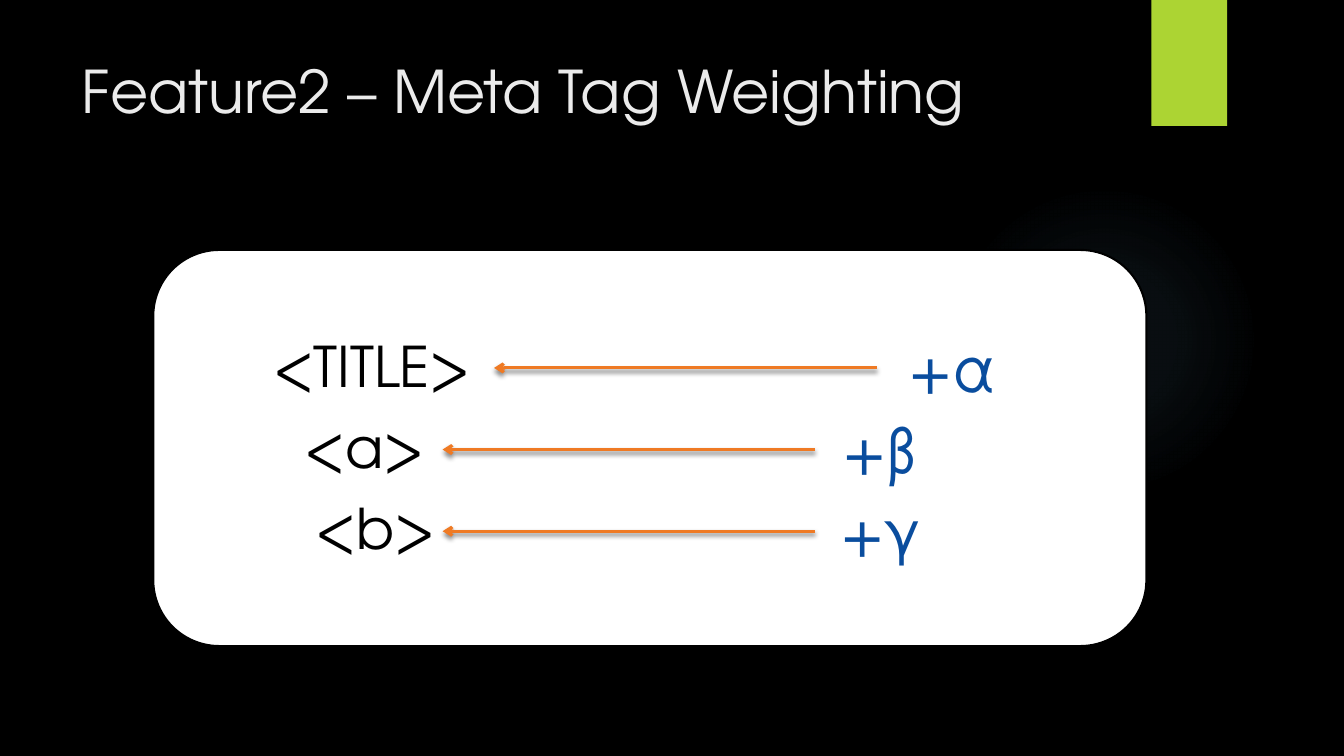
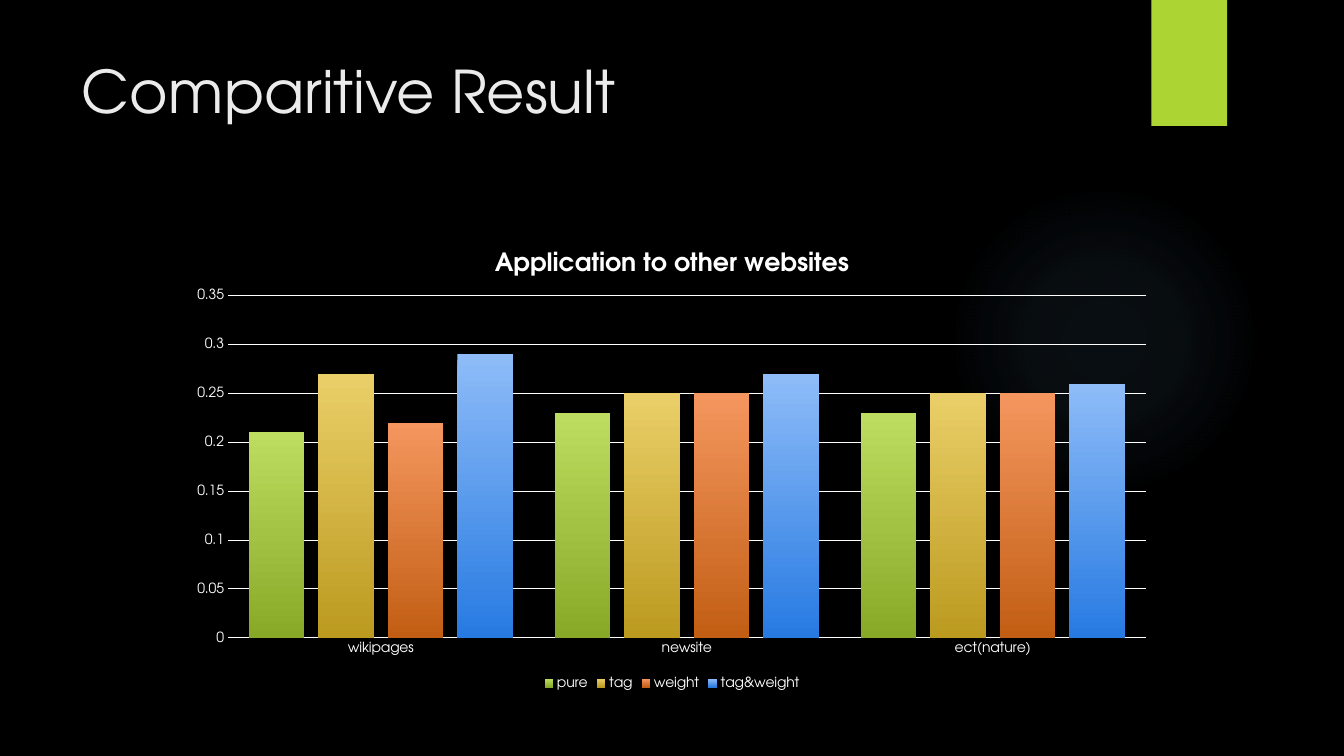
from lxml import etree
from pptx import Presentation
from pptx import util as u
from pptx.chart.data import CategoryChartData
from pptx.dml.color import RGBColor
from pptx.enum import chart as charts, shapes, text
from pptx.oxml import parse_xml
from pptx.oxml.ns import nsdecls, qn

FONT = "TeX Gyre Adventor"
BLACK, WHITE, TITLE = "000000", "FFFFFF", "EBEBEB"
GREEN, ORANGE, BLUE, GLOW = "ACD433", "EF7A24", "0A4D9E", "7AC4F0"


def color(value):
    return RGBColor.from_string(value)


def style(font, size, value, bold=False):
    font.name, font.size, font.bold = FONT, u.Pt(size), bold
    font.color.rgb = color(value)


class Deck:
    def __init__(self):
        self.presentation = Presentation()
        self.presentation.slide_width = u.Inches(13.33)
        self.presentation.slide_height = u.Inches(7.5)
        self.slide = None

    def new_slide(self, title):
        """Start a slide with the shared background, glow, band and title."""
        layout = self.presentation.slide_layouts[5]
        self.slide = self.presentation.slides.add_slide(layout)
        background = self.slide.background.fill
        background.solid()
        background.fore_color.rgb = color(BLACK)
        self.glow(9.41, 1.83, 3.08)
        self.shape(shapes.MSO_SHAPE.RECTANGLE, 11.42, 0, 0.75, 1.25, GREEN)

        placeholder = self.slide.shapes.title
        placeholder.left, placeholder.top = u.Inches(0.71), u.Inches(0.49)
        placeholder.width, placeholder.height = u.Inches(10.29), u.Inches(1.53)
        frame = placeholder.text_frame
        frame.text = title
        frame.auto_size = text.MSO_AUTO_SIZE.NONE
        frame.vertical_anchor = text.MSO_ANCHOR.TOP
        frame.paragraphs[0].alignment = text.PP_ALIGN.LEFT
        style(frame.paragraphs[0].runs[0].font, 42, TITLE)

    def shape(self, kind, left, top, width, height, fill, line=None):
        shape = self.slide.shapes.add_shape(
            kind, u.Inches(left), u.Inches(top), u.Inches(width), u.Inches(height))
        shape.shadow.inherit = False
        shape.fill.solid()
        shape.fill.fore_color.rgb = color(fill)
        if line:
            shape.line.color.rgb = color(line)
            shape.line.width = u.Pt(1.5)
        else:
            shape.line.fill.background()
        return shape

    def glow(self, left, top, size):
        """Circle that fades out from its centre."""
        circle = self.shape(shapes.MSO_SHAPE.OVAL, left, top, size, size, GLOW)
        stops = "".join(
            f'<a:gs pos="{position * 1000}"><a:srgbClr val="{GLOW}">'
            f'<a:alpha val="{alpha * 1000}"/></a:srgbClr></a:gs>'
            for position, alpha in ((0, 7), (36, 6), (69, 0), (100, 0)))
        gradient = parse_xml(
            f'<a:gradFill {nsdecls("a")}><a:gsLst>{stops}</a:gsLst><a:path path="circle">'
            '<a:fillToRect l="50000" t="50000" r="50000" b="50000"/></a:path></a:gradFill>')
        properties = circle._element.spPr
        properties.replace(properties.find(qn("a:solidFill")), gradient)

    def text_box(self, left, top, width, height, lines, size, value, indents=(0,)):
        """Text with one paragraph per line, each with its own left indent."""
        box = self.slide.shapes.add_textbox(
            u.Inches(left), u.Inches(top), u.Inches(width), u.Inches(height))
        frame = box.text_frame
        frame.word_wrap = True
        frame.text = "\n".join(lines)
        for number, (paragraph, indent) in enumerate(zip(frame.paragraphs, indents)):
            paragraph._p.get_or_add_pPr().set("marL", str(u.Inches(indent)))
            if number:
                paragraph.space_before = u.Pt(10)
            style(paragraph.runs[0].font, size, value)

    def arrow(self, start, end, y):
        connector = self.slide.shapes.add_connector(
            shapes.MSO_CONNECTOR.STRAIGHT,
            u.Inches(start), u.Inches(y), u.Inches(end), u.Inches(y))
        connector.line.color.rgb = color(ORANGE)
        connector.line.width = u.Pt(2.25)
        etree.SubElement(connector.line._get_or_add_ln(), qn("a:tailEnd"), type="arrow")
        connector._element.spPr.append(parse_xml(
            f'<a:effectLst {nsdecls("a")}><a:outerShdw blurRad="{u.Pt(3)}" dist="{u.Pt(2)}" '
            f'dir="5400000"><a:srgbClr val="{BLACK}"><a:alpha val="45000"/></a:srgbClr>'
            '</a:outerShdw></a:effectLst>'))

    def column_chart(self, left, top, width, height, title, categories, series, plot_area):
        """Clustered columns; each series is name, values, top and bottom colour.

        The plot area is x, y, width and height as shares of the chart.
        """
        data = CategoryChartData()
        data.categories = categories
        for name, values, _, _ in series:
            data.add_series(name, values)
        chart = self.slide.shapes.add_chart(
            charts.XL_CHART_TYPE.COLUMN_CLUSTERED, u.Inches(left), u.Inches(top),
            u.Inches(width), u.Inches(height), data).chart
        style(chart.font, 10, WHITE)

        chart.has_title = True
        chart.chart_title.text_frame.text = title
        chart.chart_title.include_in_layout = False
        style(chart.chart_title.text_frame.paragraphs[0].runs[0].font, 18, WHITE, True)
        chart.has_legend = True
        chart.legend.position = charts.XL_LEGEND_POSITION.BOTTOM
        chart.legend.include_in_layout = False

        # Plot area
        area = chart._chartSpace.find(".//" + qn("c:plotArea"))
        for automatic in area.findall(qn("c:layout")):
            area.remove(automatic)
        modes = '<c:xMode val="edge"/><c:yMode val="edge"/>'
        sizes = "".join(f'<c:{key} val="{share}"/>' for key, share in zip("xywh", plot_area))
        area.insert(0, parse_xml(
            f'<c:layout {nsdecls("c")}><c:manualLayout><c:layoutTarget val="inner"/>'
            f'{modes}{sizes}</c:manualLayout></c:layout>'))

        # Axes
        for axis in (chart.category_axis, chart.value_axis):
            axis.major_tick_mark = axis.minor_tick_mark = charts.XL_TICK_MARK.NONE
        chart.category_axis.format.line.color.rgb = color(WHITE)
        values_axis = chart.value_axis
        values_axis.format.line.fill.background()
        values_axis.minimum_scale, values_axis.maximum_scale = 0, 0.35
        values_axis.major_unit = 0.05
        values_axis.has_major_gridlines = True
        values_axis.major_gridlines.format.line.color.rgb = color(WHITE)

        # Columns
        plot = chart.plots[0]
        plot.vary_by_categories = False
        plot.gap_width, plot.overlap = 75, -25
        for columns, (_, _, *ends) in zip(plot.series, series):
            fill = columns.format.fill
            fill.gradient()
            fill.gradient_angle = 270
            for stop, value in zip(fill.gradient_stops, ends):
                stop.color.rgb = color(value)


def main():
    deck = Deck()

    # Tag weights
    deck.new_slide("Feature2 – Meta Tag Weighting")
    deck.shape(shapes.MSO_SHAPE.ROUNDED_RECTANGLE, 1.52, 2.48, 9.85, 3.93, WHITE, BLACK)
    deck.text_box(2.11, 3.24, 3, 2.6, ("<TITLE>", "<a>", "<b>"), 40, BLACK,
                  (0.5, 0.81, 0.92))
    weights = (("+α", 8.7, 4.9, 8.91), ("+β", 8.08, 4.39, 8.26), ("+γ", 8.08, 4.39, 8.24))
    for row, (label, start, end, left) in enumerate(weights):
        y = 3.65 + 0.81 * row
        deck.arrow(start, end, y)
        deck.text_box(left, y - 0.42, 1.5, 0.84, (label,), 44, BLUE)

    # Comparison chart
    deck.new_slide("Comparitive Result")
    deck.column_chart(
        1.77, 2.29, 9.79, 4.59, "Application to other websites",
        ("wikipages", "newsite", "ect(nature)"),
        (("pure", (0.21, 0.23, 0.23), "BCDD60", "88A828"),
         ("tag", (0.27, 0.25, 0.25), "EACF68", "BC9A20"),
         ("weight", (0.22, 0.25, 0.25), "F4965E", "C25E14"),
         ("tag&weight", (0.29, 0.27, 0.26), "8EBCF8", "277AE2")),
        (0.05, 0.14, 0.93, 0.74))

    deck.presentation.save("out.pptx")


if __name__ == "__main__":
    main()
